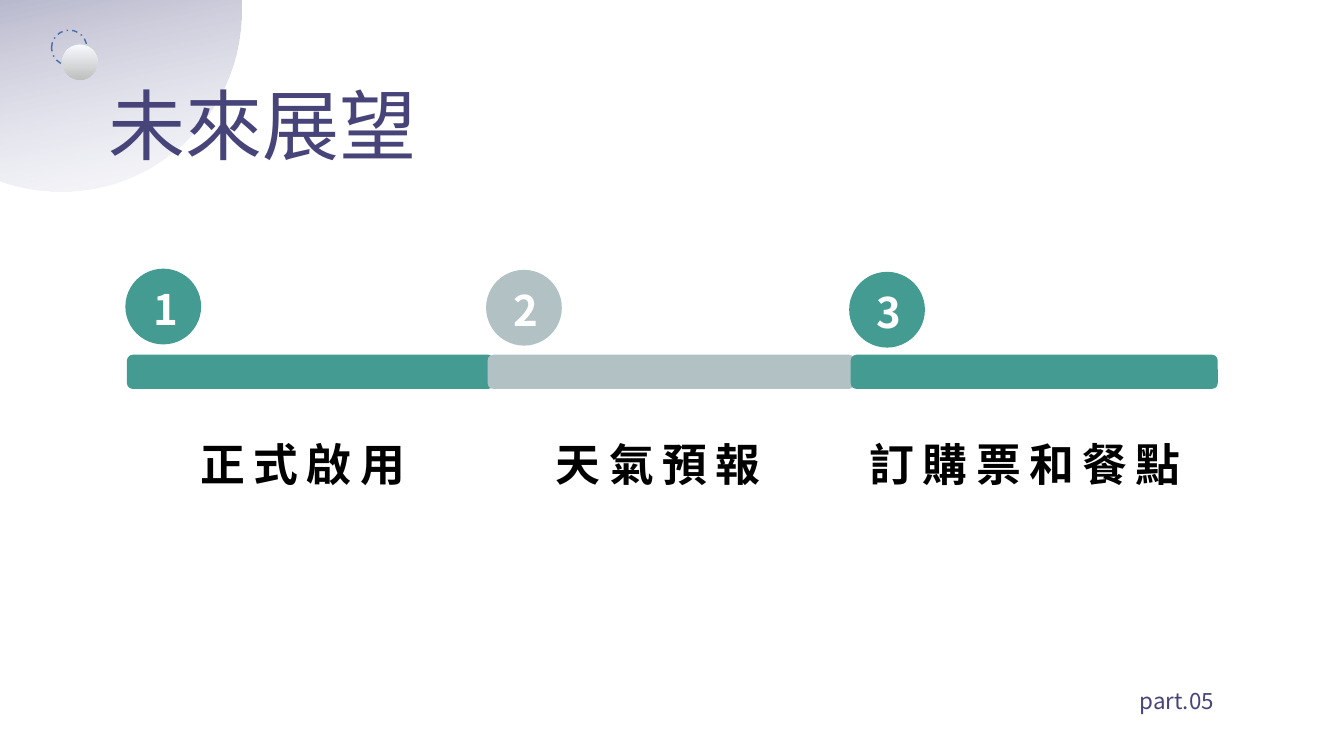
"""Build the outlook slide: a three-step timeline with numbered markers."""
from lxml import etree
from pptx import Presentation
from pptx.dml.color import RGBColor
from pptx.enum.dml import MSO_LINE
from pptx.enum.shapes import MSO_SHAPE
from pptx.enum.text import MSO_ANCHOR, MSO_AUTO_SIZE, PP_ALIGN
from pptx.oxml.ns import qn
from pptx.util import Cm, Pt

OVAL, BAR = MSO_SHAPE.OVAL, MSO_SHAPE.ROUNDED_RECTANGLE
CENTER, JUSTIFY = PP_ALIGN.CENTER, PP_ALIGN.JUSTIFY
DASH_DOT = MSO_LINE.DASH_DOT
TOP = MSO_ANCHOR.TOP
GROW = MSO_AUTO_SIZE.SHAPE_TO_FIT_TEXT
FONT = "Noto Sans CJK SC"
PURPLE = RGBColor(0x47, 0x44, 0x79)
PALE = RGBColor(0xF7, 0xFA, 0xFE)
SILVER = RGBColor(0xBF, 0xBF, 0xBF)
BLUE = RGBColor(0x47, 0x6F, 0xAA)
TEAL = RGBColor(0x43, 0x9B, 0x91)
GREY = RGBColor(0xB2, 0xC2, 0xC4)
WHITE = RGBColor(0xFF, 0xFF, 0xFF)
BLACK = RGBColor(0x00, 0x00, 0x00)


def add_shape(shapes, kind, x, y, w, h, color=None):
    sp = shapes.add_shape(kind, Cm(x), Cm(y), Cm(w), Cm(h))
    sp.shadow.inherit = False
    sp.line.fill.background()
    if color is None:
        sp.fill.background()
    else:
        sp.fill.solid()
        sp.fill.fore_color.rgb = color
    return sp


def write(sp, text, size, color, align, line_spacing=1.0, bold=False, spacing=0):
    tf = sp.text_frame
    tf.word_wrap = True
    tf.auto_size = GROW
    tf.vertical_anchor = TOP
    p = tf.paragraphs[0]
    p.text = text
    p.alignment = align
    p.line_spacing = line_spacing
    p.font.size = Pt(size)
    p.font.bold = bold
    p.font.color.rgb = color
    p.font.name = FONT
    props = p._p.pPr.find(qn("a:defRPr"))
    props.set("spc", str(spacing * 100))
    etree.SubElement(props, qn("a:ea"), typeface=FONT)


prs = Presentation()
prs.slide_width, prs.slide_height = Cm(33.87), Cm(19.05)
s = prs.slides.add_slide(prs.slide_layouts[5])

corner = add_shape(s.shapes, OVAL, -3.07, -4.39, 9.14, 9.22)
corner.rotation = 168
ring = add_shape(s.shapes, OVAL, 1.3, 0.76, 0.89, 0.89)
ring.line.color.rgb = BLUE
ring.line.width = Pt(1)
ring.line.dash_style = DASH_DOT
ball = add_shape(s.shapes, OVAL, 1.57, 1.12, 0.89, 0.89)

for sp, end_color in ((corner, PURPLE), (ball, SILVER)):
    sp.fill.gradient()
    sp.fill.gradient_angle = 270
    for stop, position, color in zip(sp.fill.gradient_stops, (0, 1), (PALE, end_color)):
        stop.position = position
        stop.color.rgb = color
pale_stop = next(corner.element.iter(qn("a:srgbClr")))
etree.SubElement(pale_stop, qn("a:alpha"), val="29000")

title = s.shapes.title
title.left, title.top, title.width, title.height = Cm(2.49), Cm(0.66), Cm(12.07), Cm(3.78)
write(title, "未來展望", 55, PURPLE, JUSTIFY, 1.5)
s.shapes.element.append(title.element)

part = s.shapes.add_textbox(Cm(28.47), Cm(16.84), Cm(3.94), Cm(1.17))
write(part, "part.05", 16, PURPLE, JUSTIFY, 1.5)

steps = [
    ("正式啟用", TEAL, 3.2, 6.81, 3.33),
    ("天氣預報", GREY, 12.29, 6.84, 12.29),
    ("訂購票和餐點", TEAL, 21.44, 6.89, 21.54),
]
for number, (label, color, x, y, label_x) in enumerate(steps, 1):
    marker = s.shapes.add_group_shape()
    circle = add_shape(marker.shapes, OVAL, x, y, 1.83, 1.83, color)
    circle.line.color.rgb = color
    circle.line.width = Pt(2.25)
    digit = marker.shapes.add_textbox(Cm(x + 0.08), Cm(y + 0.21), Cm(1.78), Cm(1.55))
    write(digit, str(number), 30, WHITE, CENTER, bold=True, spacing=6)

    add_shape(s.shapes, BAR, x, 8.94, 9.25, 0.86, color)
    caption = s.shapes.add_textbox(Cm(label_x), Cm(10.64), Cm(8.6), Cm(1.73))
    write(caption, label, 32, BLACK, CENTER, Pt(45), bold=True, spacing=6)

prs.save("out.pptx")
